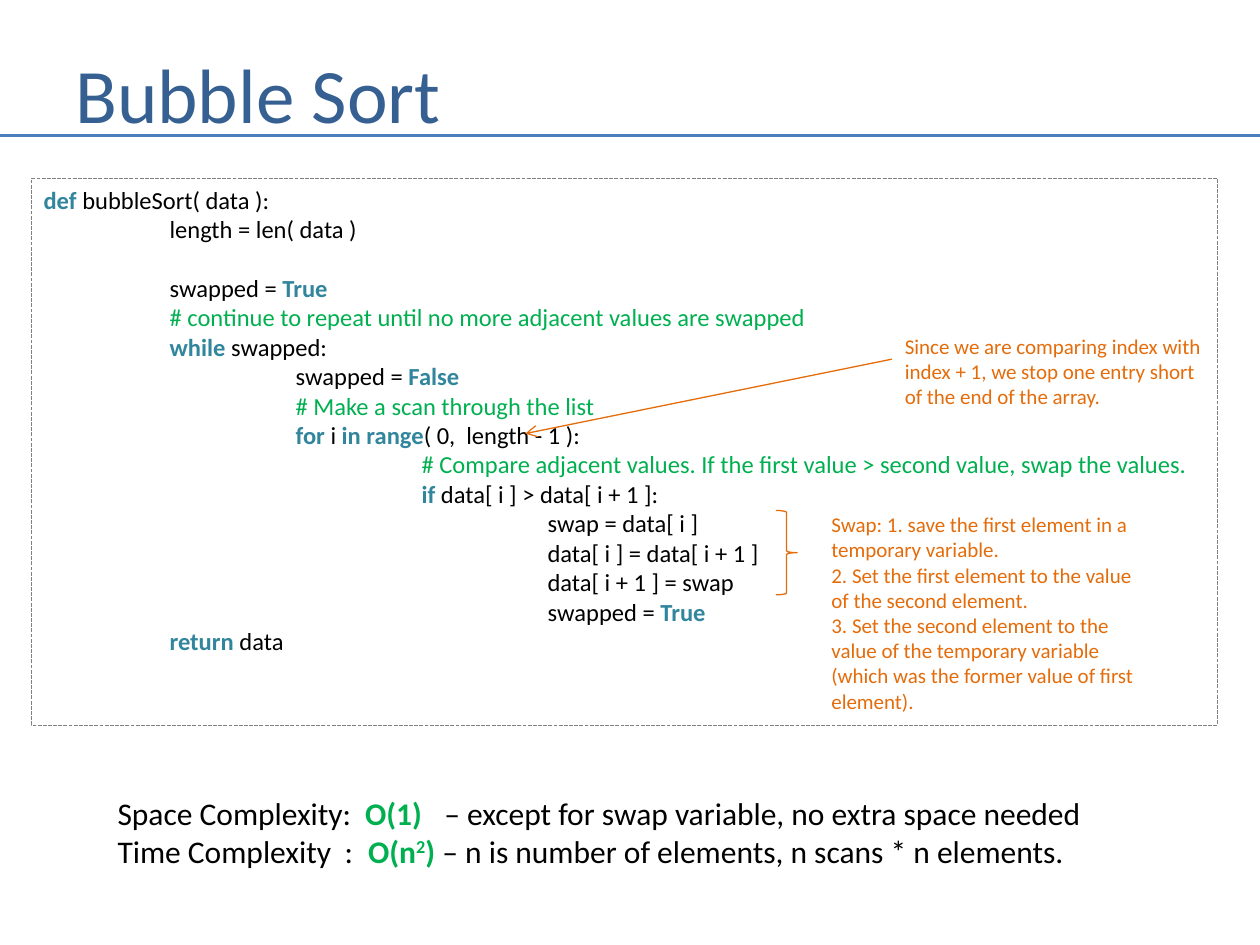
from dataclasses import dataclass
from typing import Optional

from pptx import Presentation
from pptx.dml.color import RGBColor
from pptx.enum.dml import MSO_LINE as Dash
from pptx.enum.shapes import MSO_CONNECTOR as Wire, MSO_SHAPE as Kind
from pptx.enum.text import MSO_ANCHOR as Anchor, PP_ALIGN as Align
from pptx.oxml.ns import qn
from pptx.util import Cm, Pt
from lxml.etree import SubElement as Sub

HUES = {
    "title": "376092",
    "rule": "4B7EBC",
    "frame": "808080",
    "key": "31859C",
    "text": "000000",
    "green": "00B050",
    "note": "E46C0A",
}
FONT = "Calibri"
STEPS = tuple(2.54 * n for n in range(1, 5))


@dataclass(frozen=True)
class Span:
    text: str
    hue: str = "text"
    bold: bool = False
    base: int = 0


@dataclass(frozen=True)
class Line:
    spans: tuple[Span, ...]
    gap: float = 0
    stops: tuple[float, ...] = STEPS


@dataclass(frozen=True)
class Box:
    left: float
    top: float
    width: float
    height: float
    size: float
    lines: tuple[Line, ...]
    mid: bool = False
    frame: Optional[str] = None


def line(*spans: Span, gap: float = 0, stops: tuple[float, ...] = STEPS) -> Line:
    return Line(spans, gap, stops)


def key(text: str) -> Span:
    return Span(text, "key", True)


def green(text: str, bold: bool = False, base: int = 0) -> Span:
    return Span(text, "green", bold, base)


def note(text: str) -> Line:
    return line(Span(text, "note"))


def tint(name: str) -> RGBColor:
    return RGBColor.from_string(HUES[name])


def draw_line(item: Line, para, size: float) -> None:
    para.alignment = Align.LEFT
    if item.gap:
        para.space_before = Pt(item.gap)
    if any("\t" in span.text for span in item.spans):
        tabs = Sub(para._p.get_or_add_pPr(), qn("a:tabLst"))
        for stop in item.stops:
            Sub(tabs, qn("a:tab"), pos=str(int(Cm(stop))), algn="l")
    for span in item.spans:
        run = para.add_run()
        run.text = span.text
        font = run.font
        font.name = FONT
        font.size = Pt(size)
        font.bold = span.bold
        font.color.rgb = tint(span.hue)
        if span.base:
            font._element.set("baseline", str(span.base * 1000))


def draw_box(slide, box: Box) -> None:
    place = Cm(box.left), Cm(box.top), Cm(box.width), Cm(box.height)
    if box.frame:
        shape = slide.shapes.add_shape(Kind.RECTANGLE, *place)
        shape.shadow.inherit = False
        shape.fill.background()
        shape.line.color.rgb = tint(box.frame)
        shape.line.width = Pt(0.75)
        shape.line.dash_style = Dash.SQUARE_DOT
        shape.line._ln.find(qn("a:prstDash")).set("val", "sysDash")
    else:
        shape = slide.shapes.add_textbox(*place)
    frame = shape.text_frame
    frame.word_wrap = True
    frame.vertical_anchor = Anchor.MIDDLE if box.mid else Anchor.TOP
    for i, item in enumerate(box.lines):
        para = frame.add_paragraph() if i else frame.paragraphs[0]
        draw_line(item, para, box.size)


def draw_wire(slide, start: tuple[float, float], end: tuple[float, float],
              hue: str, width: float, head: bool = False) -> None:
    wire = slide.shapes.add_connector(
        Wire.STRAIGHT, *(Cm(n) for n in start + end))
    wire.line.color.rgb = tint(hue)
    wire.line.width = Pt(width)
    if head:
        Sub(wire.line._ln, qn("a:tailEnd"), type="arrow")
    Sub(wire._element.spPr, qn("a:effectLst"))


def draw_brace(slide) -> None:
    brace = slide.shapes.add_shape(
        Kind.LEFT_BRACE, Cm(15.64), Cm(10.29), Cm(0.43), Cm(1.7))
    brace.rotation = 180
    brace.shadow.inherit = False
    brace.fill.background()
    brace.line.color.rgb = tint("note")
    brace.line.width = Pt(0.75)


TITLE = Box(1.27, 0.76, 23.06, 2.21, 44,
            (line(Span("Bubble Sort", "title")),), mid=True)

CODE = Box(0.63, 3.6, 23.92, 11.02, 14, (
    line(key("def "), Span("bubbleSort( data ):")),
    line(Span("\tlength = len( data )")),
    line(Span("\tswapped = "), key("True"), gap=16.8),
    line(Span("\t"), green("# continue to repeat until no more adjacent values are swapped")),
    line(key("\twhile"), Span(" swapped:")),
    line(Span("\t\tswapped = "), key("False")),
    line(Span("\t\t"), green("# Make a scan through the list")),
    line(key("\t\tfor "), Span("i "), key("in range"), Span("( 0,  length - 1 ):")),
    line(Span("\t\t\t"), green("# Compare adjacent values. If the first value > second value, swap the values.")),
    line(key("\t\t\tif "), Span("data[ i ] > data[ i + 1 ]:")),
    line(Span("\t\t\t\tswap = data[ i ]")),
    line(Span("\t\t\t\tdata[ i ] = data[ i + 1 ]")),
    line(Span("\t\t\t\tdata[ i + 1 ] = swap")),
    line(Span("\t\t\t\tswapped = "), key("True")),
    line(key("\treturn "), Span("data")),
), frame="frame")

RANGE = Box(17.99, 6.6, 6.56, 1.8, 12, (
    note("Since we are comparing index with index + 1, we stop one entry short of the end of the array."),
))

SWAP = Box(16.51, 10.19, 6.6, 4.37, 12, (
    note("Swap: 1. save the first element in a temporary variable."),
    note("2. Set the first element to the value of the second element."),
    note("3. Set the second element to the value of the temporary variable "
         "(which was the former value of first element)."),
))

COST = Box(2.12, 15.88, 20.17, 1.8, 18, (
    line(Span("Space Complexity:\t"), green("O(1)", True),
         Span("\t– except for swap variable, no extra space needed"),
         stops=(4.99, 6.59)),
    line(Span("Time Complexity\t:\t"), green("O(n", True), green("2", True, 30),
         green(")", True), Span("\t– n is number of elements, n scans * n elements."),
         stops=(4.58, 5.05, 6.55)),
))


def main() -> None:
    deck = Presentation()
    deck.slide_width, deck.slide_height = Cm(25.4), Cm(19.05)
    slide = deck.slides.add_slide(deck.slide_layouts[6])
    draw_box(slide, TITLE)
    draw_wire(slide, (0, 2.74), (25.4, 2.74), "rule", 1.75)
    draw_box(slide, CODE)
    draw_wire(slide, (17.98, 7.24), (10.59, 8.74), "note", 0.75, head=True)
    draw_box(slide, RANGE)
    draw_brace(slide)
    draw_box(slide, SWAP)
    draw_box(slide, COST)
    deck.save("out.pptx")


if __name__ == "__main__":
    main()
